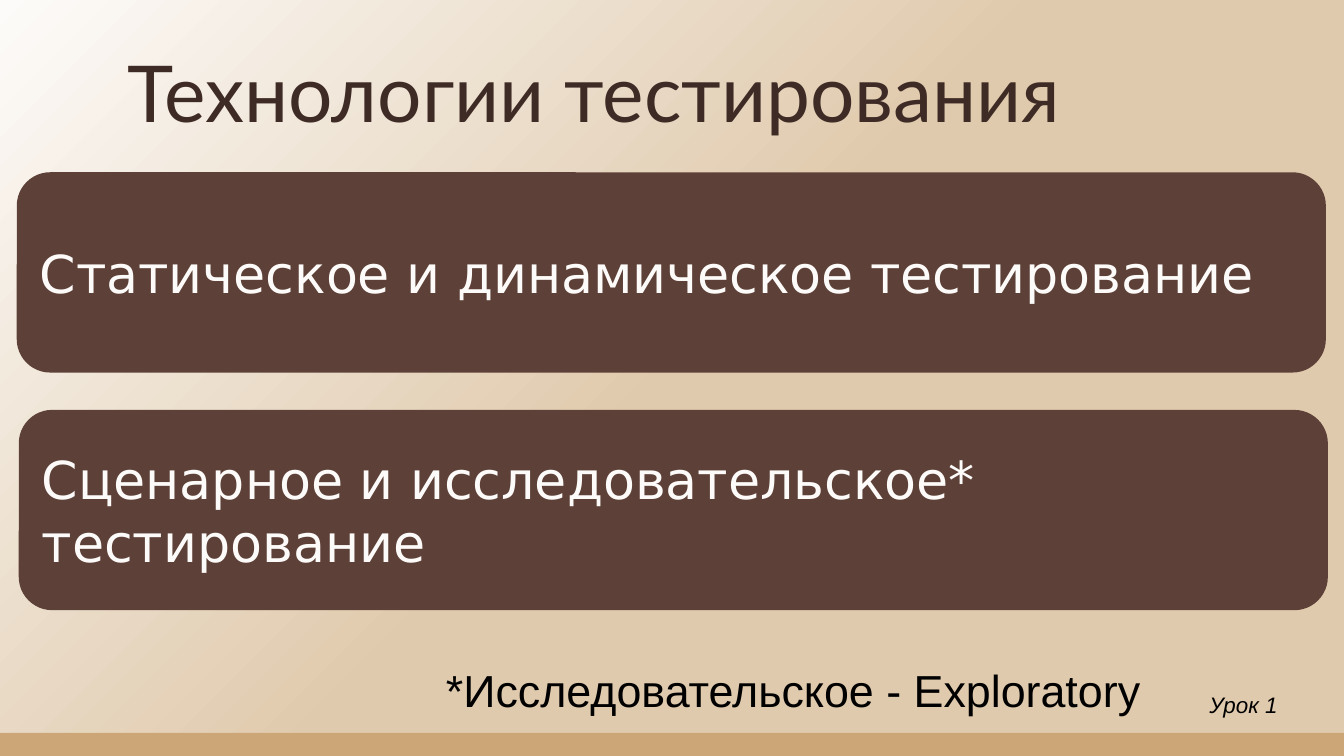
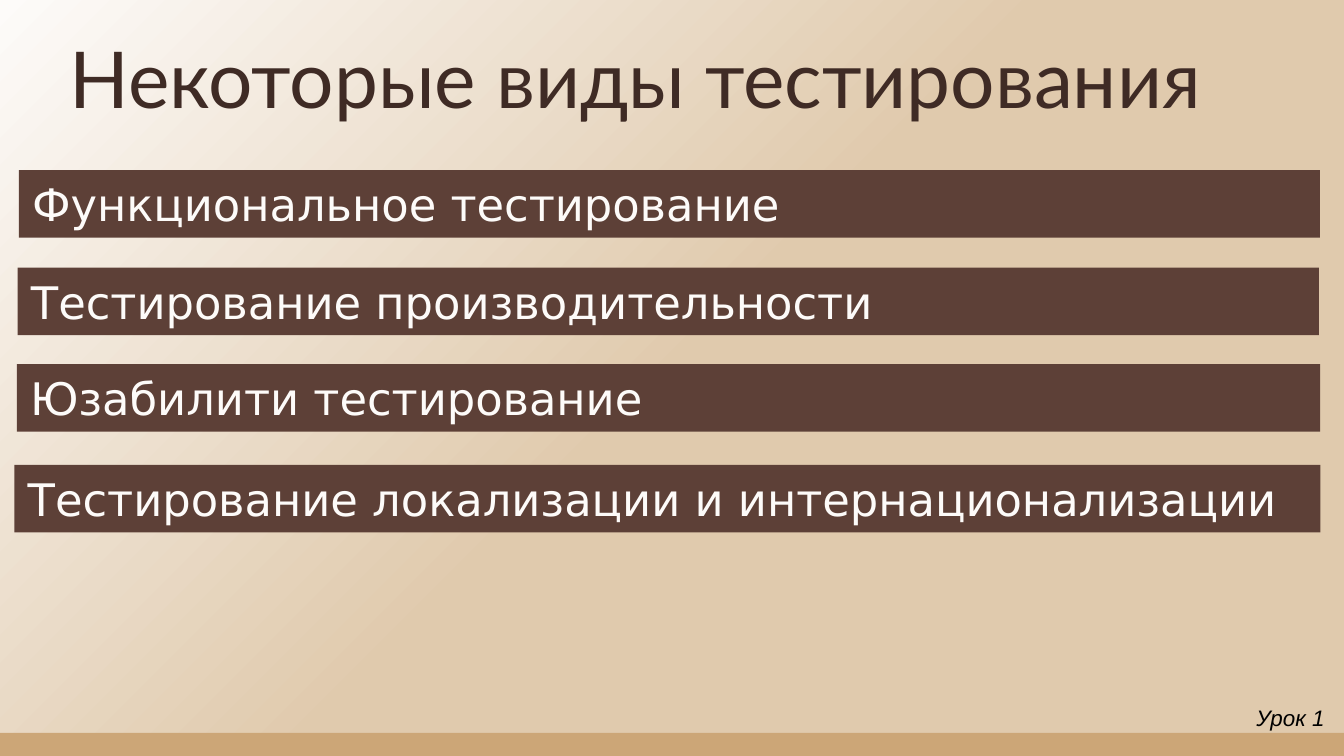
from pptx import Presentation
from pptx.dml.color import RGBColor
from pptx.enum.shapes import MSO_SHAPE
from pptx.enum.text import MSO_ANCHOR, MSO_AUTO_SIZE, PP_ALIGN
from pptx.util import Pt

SLIDE_WIDTH, SLIDE_HEIGHT = 720, 405
BAND_HEIGHT = 12.3
TITLE_ONLY = 5

CREAM = RGBColor(0xFD, 0xFB, 0xF9)
SAND = RGBColor(0xE0, 0xCA, 0xAD)
CARAMEL = RGBColor(0xCC, 0xA6, 0x77)
BROWN = RGBColor(0x5D, 0x40, 0x37)
DARK_BROWN = RGBColor(0x3F, 0x2B, 0x25)
BLACK = RGBColor(0, 0, 0)

TITLE_FONT, NOTE_FONT, BLOCK_FONT = "Lato", "Arial", "DejaVu Sans"


def paint_background(master):
    fill = master.background.fill
    fill.gradient()
    fill.gradient_angle = 315
    for stop, position, colour in zip(fill.gradient_stops, (0, 0.5), (CREAM, SAND)):
        stop.position = position
        stop.color.rgb = colour


def write(box, text, font_name, size, colour, italic=False):
    """Put one left-aligned run into the box and return its paragraph."""
    box.text_frame.word_wrap = True
    para = box.text_frame.paragraphs[0]
    para.alignment = PP_ALIGN.LEFT
    span = para.add_run()
    span.text = text
    span.font.name = font_name
    span.font.size = Pt(size)
    span.font.italic = italic
    span.font.color.rgb = colour
    return para


def add_block(page, kind, left, top, width, height, colour):
    block = page.shapes.add_shape(kind, Pt(left), Pt(top), Pt(width), Pt(height))
    block.shadow.inherit = False
    block.fill.solid()
    block.fill.fore_color.rgb = colour
    block.line.fill.background()
    return block


def add_text_block(page, kind, place, text, size, anchor):
    block = add_block(page, kind, *place, BROWN)
    block.text_frame.vertical_anchor = anchor
    write(block, text, BLOCK_FONT, size, CREAM)


def add_note(page, place, text, size, italic=False):
    box = page.shapes.add_textbox(*map(Pt, place))
    write(box, text, NOTE_FONT, size, BLACK, italic)
    box.text_frame.auto_size = MSO_AUTO_SIZE.SHAPE_TO_FIT_TEXT


def set_title(page, text, place):
    title = page.shapes.title
    title.left, title.top, title.width, title.height = map(Pt, place)
    frame = title.text_frame
    frame.auto_size = MSO_AUTO_SIZE.NONE
    frame.vertical_anchor = MSO_ANCHOR.BOTTOM
    frame.margin_left = frame.margin_right = Pt(7.2)
    frame.margin_top = frame.margin_bottom = Pt(7.2)
    write(title, text, TITLE_FONT, 42, DARK_BROWN).line_spacing = 0.9


def add_page(deck, title, title_place, lesson_place):
    """Start a page with the bottom band, title and lesson label."""
    page = deck.slides.add_slide(deck.slide_layouts[TITLE_ONLY])
    add_block(page, MSO_SHAPE.RECTANGLE, 0, SLIDE_HEIGHT - BAND_HEIGHT,
              SLIDE_WIDTH, BAND_HEIGHT, CARAMEL)
    set_title(page, title, title_place)
    add_note(page, lesson_place, "Урок 1", 12, italic=True)
    return page


def add_technologies(deck):
    page = add_page(deck, "Технологии тестирования",
                    (61.2, 20.9, 595.4, 61.2), (640.8, 366.5, 71.3, 21.6))
    add_note(page, (231.8, 351.4, 394.6, 36), "*Исследовательское - Exploratory", 24)
    cards = [
        (9, 92.3, "Статическое и динамическое тестирование"),
        (10.1, 219.6, "Сценарное и исследовательское* тестирование"),
    ]
    for left, top, text in cards:
        add_text_block(page, MSO_SHAPE.ROUNDED_RECTANGLE, (left, top, 701.3, 107.3),
                       text, 28, MSO_ANCHOR.MIDDLE)


def add_kinds(deck):
    page = add_page(deck, "Некоторые виды тестирования",
                    (30.2, 13, 656.6, 61.2), (666, 373.7, 54, 21.6))
    bars = [
        (10.1, 91.2, 697, "Функциональное тестирование"),
        (9.5, 143.4, 697, "Тестирование производительности"),
        (9, 195.1, 698.2, "Юзабилити тестирование"),
        (7.8, 249, 699.6, "Тестирование локализации и интернационализации"),
    ]
    for left, top, width, text in bars:
        add_text_block(page, MSO_SHAPE.RECTANGLE, (left, top, width, 36.2),
                       text, 24, MSO_ANCHOR.TOP)


def main():
    deck = Presentation()
    deck.slide_width, deck.slide_height = Pt(SLIDE_WIDTH), Pt(SLIDE_HEIGHT)
    paint_background(deck.slide_master)
    add_technologies(deck)
    add_kinds(deck)
    deck.save("out.pptx")


if __name__ == "__main__":
    main()
